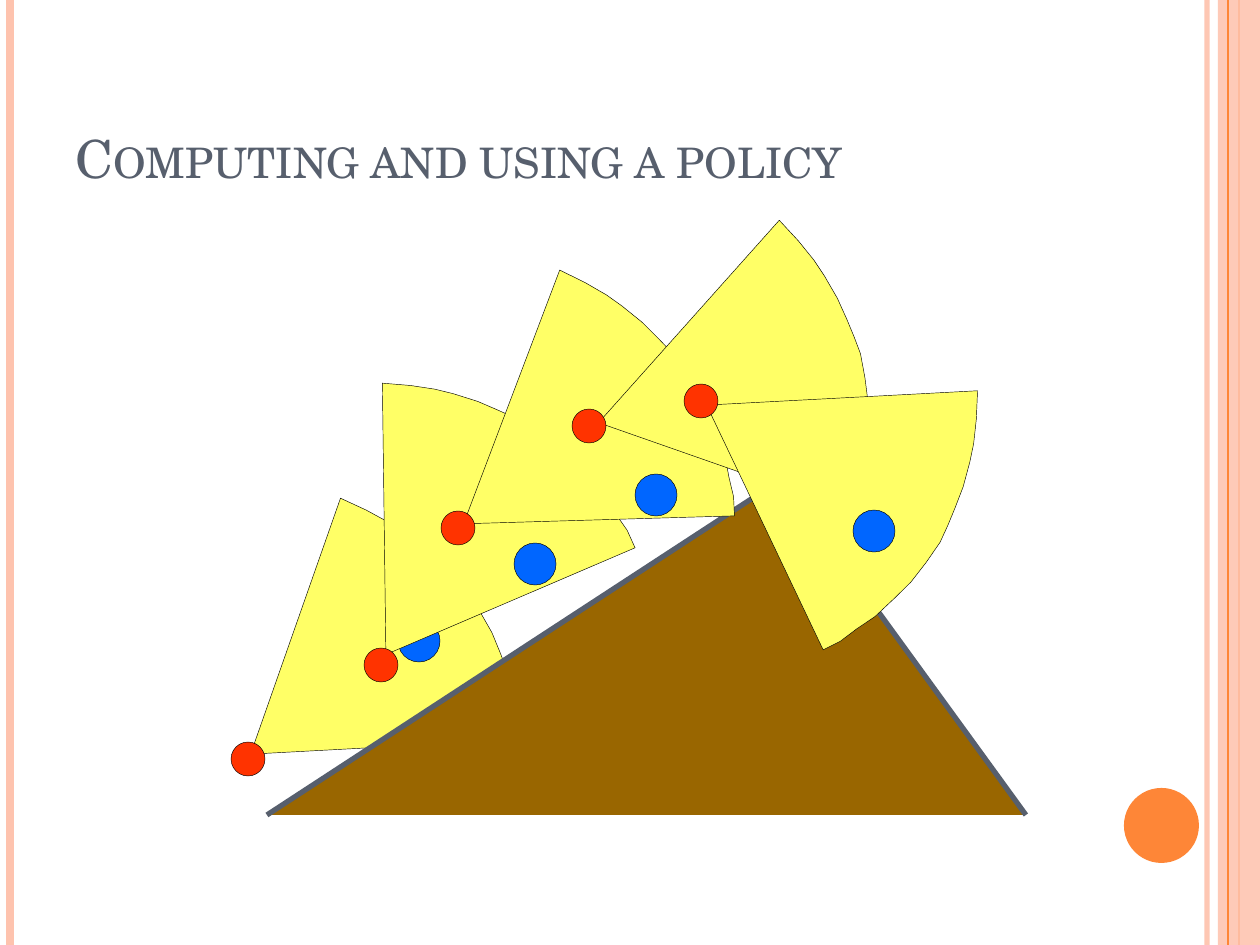
from lxml import etree
from pptx import Presentation
from pptx.dml.color import RGBColor
from pptx.enum.shapes import MSO_CONNECTOR, MSO_SHAPE
from pptx.enum.text import MSO_ANCHOR
from pptx.oxml.ns import qn
from pptx.util import Pt

SCALE = 914400 / 126
OVAL = MSO_SHAPE.OVAL
RECTANGLE = MSO_SHAPE.RECTANGLE
STRAIGHT = MSO_CONNECTOR.STRAIGHT
BOTTOM = MSO_ANCHOR.BOTTOM


def px(value):
    return round(value * SCALE)


def paint(shape, fill=None, line=None, width=0.25, opacity=100):
    if fill:
        shape.shadow.inherit = False
        shape.fill.solid()
        shape.fill.fore_color.rgb = RGBColor.from_string(fill)
    else:
        etree.SubElement(shape._element.spPr, qn("a:effectLst"))
    if line:
        shape.line.color.rgb = RGBColor.from_string(line)
        shape.line.width = Pt(width)
    else:
        shape.line.fill.background()
    if opacity < 100:
        color = next(shape._element.spPr.iter(qn("a:srgbClr")))
        etree.SubElement(color, qn("a:alpha"), val=str(opacity * 1000))


deck = Presentation()
deck.slide_width, deck.slide_height = px(1260), px(945)
page = deck.slides.add_slide(deck.slide_layouts[6])
shapes = page.shapes

stripes = [
    (1207, "FEC3AE", 3, 93),
    (10, "FEC3AE", 4.5, 100),
    (1239, "FE8637", 1.5, 100),
    (1228, "FE8637", 0.75, 100),
]
for index, (x, color, width, opacity) in enumerate(stripes):
    if index == 3:
        band = shapes.add_shape(RECTANGLE, px(1218), 0, px(42), px(945))
        paint(band, "FEC3AE", opacity=87)
    stripe = shapes.add_connector(STRAIGHT, px(x), 0, px(x), px(945))
    paint(stripe, line=color, width=width, opacity=opacity)

badge = shapes.add_shape(OVAL, px(1124), px(788), px(75), px(75))
paint(badge, "FE8637")

sector_outline = [
    (0, 259), (81, 0), (107, 11), (129, 22), (145, 32), (166, 47),
    (183, 62), (197, 75), (210, 88), (224, 108), (237, 129), (246, 149),
    (257, 175), (262, 196), (268, 216), (270, 235),
]
steps = [
    ((255, 500), 2, (398, 620), (231, 742)),
    ((339, 360), 341.9, (514, 543), (364, 648)),
    ((471, 273), 3.4, (635, 474), (441, 511)),
    ((640, 231), 24.4, (761, 435), (572, 409)),
    ((740, 357), 69.6, (853, 510), (684, 384)),
]
for index, (corner, angle, target, agent) in enumerate(steps):
    if index == 1:
        builder = shapes.build_freeform(267, 815, SCALE)
        builder.add_line_segments([(782, 479), (1026, 815)], close=False)
        hill = builder.convert_to_shape()
        paint(hill, "996600", "575F6D", 3)
    group = shapes.add_group_shape()
    builder = group.shapes.build_freeform(*sector_outline[0], SCALE)
    builder.add_line_segments(sector_outline[1:], close=True)
    sector = builder.convert_to_shape(px(corner[0]), px(corner[1]))
    sector.rotation = angle
    paint(sector, "FFFF66", "000000")
    for (x, y), size, color in [(target, 42, "0066FF"), (agent, 34, "FF3300")]:
        dot = group.shapes.add_shape(OVAL, px(x), px(y), px(size), px(size))
        paint(dot, color, "000000")

title = shapes.add_textbox(px(63), px(38), px(1029), px(157))
frame = title.text_frame
frame.word_wrap = True
frame.vertical_anchor = BOTTOM
frame.text = "Computing and using a policy"
span = frame.paragraphs[0].runs[0]
span.font.size = Pt(30)
span.font.name = "TeX Gyre Schola"
span.font.color.rgb = RGBColor.from_string("575F6D")
span._r.get_or_add_rPr().set("cap", "small")

deck.save("out.pptx")
